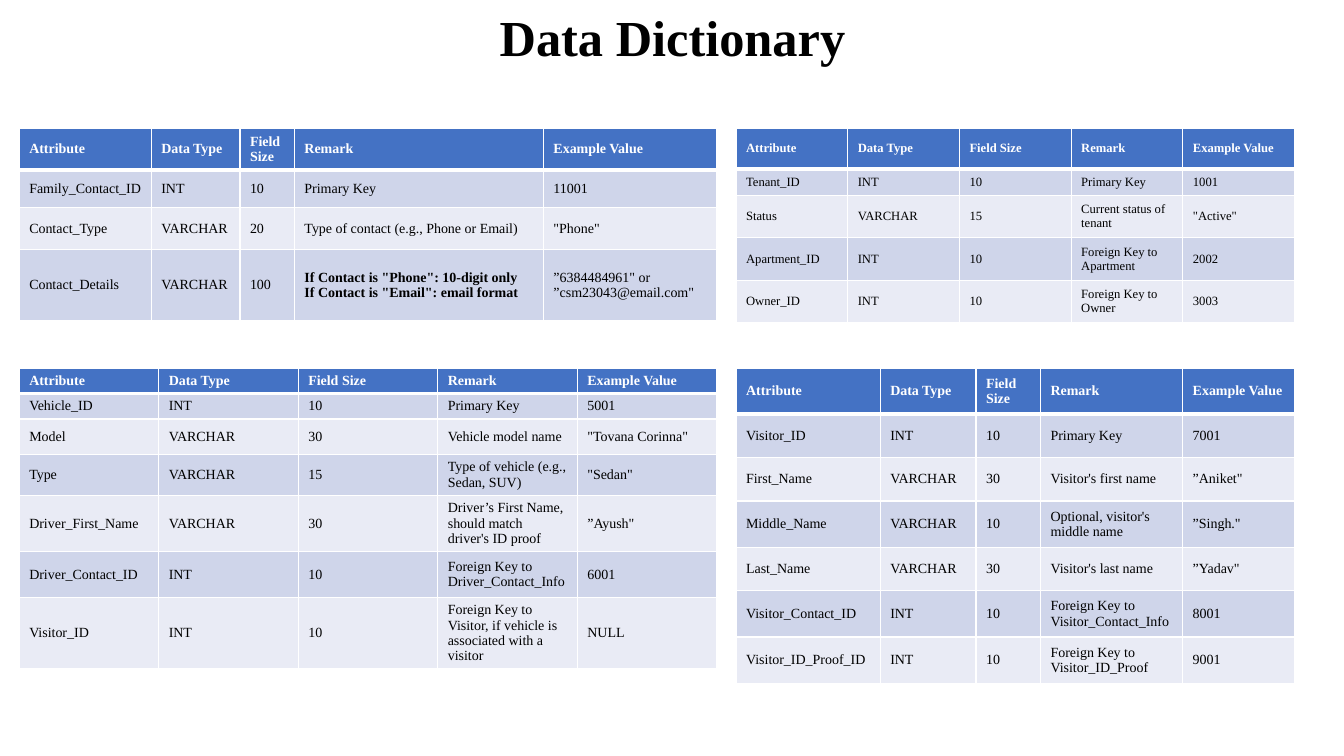
from copy import deepcopy
from dataclasses import dataclass

from pptx import Presentation
from pptx.dml.color import RGBColor as Color
from pptx.enum.text import MSO_ANCHOR as Anchor, PP_ALIGN as Align
from pptx.oxml import parse_xml
from pptx.oxml.ns import nsdecls, qn
from pptx.util import Inches, Pt


@dataclass(frozen=True)
class Theme:
    font: str = "Times New Roman"
    ink: str = "000000"
    paper: str = "FFFFFF"
    header: str = "4472C4"
    bands: tuple = ("CFD5EA", "E9EBF5")
    title_size: int = 36
    table_size: int = 10
    small_size: int = 9
    thin: int = 1
    thick: int = 3


class DictionarySlide:
    def __init__(self, deck, theme):
        self.theme = theme
        self.page = deck.slides.add_slide(deck.slide_layouts[5])

    def style_para(self, para, size, color, bold):
        style = {"name": self.theme.font, "size": Pt(size), "bold": bold}
        for span in para.runs:
            for key, value in style.items():
                setattr(span.font, key, value)
            span.font.color.rgb = Color.from_string(color)
        # Line breaks take the type size of the text around them
        for line_break in para._p.findall(qn("a:br")):
            line_break.append(deepcopy(para.runs[0]._r.rPr))

    def title(self, text, left, top, width, height):
        box = self.page.shapes.title
        place = {"left": left, "top": top, "width": width, "height": height}
        for key, value in place.items():
            setattr(box, key, Inches(value))
        box.text_frame.vertical_anchor = Anchor.MIDDLE
        para = box.text_frame.paragraphs[0]
        para.text = text
        para.alignment = Align.CENTER
        para.line_spacing = 0.9
        self.style_para(para, self.theme.title_size, self.theme.ink, True)

    def borders(self, cell, row):
        theme = self.theme
        widths = {"L": theme.thin, "R": theme.thin,
                  "T": theme.thick if row == 1 else theme.thin,
                  "B": theme.thick if row == 0 else theme.thin}
        properties = cell._tc.get_or_add_tcPr()
        for side, width in widths.items():
            properties.append(parse_xml(
                f'<a:ln{side} {nsdecls("a")} w="{Pt(width)}"><a:solidFill>'
                f'<a:srgbClr val="{theme.paper}"/></a:solidFill></a:ln{side}>'))

    def cell(self, cell, row, text, size, bold):
        theme = self.theme
        is_header = row == 0
        self.borders(cell, row)
        cell.fill.solid()
        fill = theme.header if is_header else theme.bands[(row - 1) % 2]
        cell.fill.fore_color.rgb = Color.from_string(fill)
        cell.vertical_anchor = Anchor.MIDDLE
        para = cell.text_frame.paragraphs[0]
        para.text = text
        color = theme.paper if is_header else theme.ink
        self.style_para(para, size, color, is_header or bold)

    def table(self, place, columns, heights, records, size, bold_cells=()):
        rows = [HEADINGS, *records]
        frame = self.page.shapes.add_table(
            len(rows), len(columns), *(Inches(value) for value in place))
        table = frame.table
        for column, width in zip(table.columns, columns):
            column.width = Inches(width)
        for row, height in zip(table.rows, heights):
            row.height = Inches(height)
        for r, record in enumerate(rows):
            for c, text in enumerate(record):
                self.cell(table.cell(r, c), r, text, size, (r, c) in bold_cells)
        frame.height = Inches(place[3])


HEADINGS = ("Attribute", "Data Type", "Field Size", "Remark", "Example Value")

FAMILY_CONTACT = [
    ("Family_Contact_ID", "INT", "10", "Primary Key", "11001"),
    ("Contact_Type", "VARCHAR", "20", "Type of contact (e.g., Phone or Email)", '"Phone"'),
    ("Contact_Details", "VARCHAR", "100",
     'If Contact is "Phone": 10-digit only\nIf Contact is "Email": email format',
     '”6384484961" or ”csm23043@email.com"'),
]

TENANT = [
    ("Tenant_ID", "INT", "10", "Primary Key", "1001"),
    ("Status", "VARCHAR", "15", "Current status of tenant", '"Active"'),
    ("Apartment_ID", "INT", "10", "Foreign Key to Apartment", "2002"),
    ("Owner_ID", "INT", "10", "Foreign Key to Owner", "3003"),
]

VEHICLE = [
    ("Vehicle_ID", "INT", "10", "Primary Key", "5001"),
    ("Model", "VARCHAR", "30", "Vehicle model name", '"Tovana Corinna"'),
    ("Type", "VARCHAR", "15", "Type of vehicle (e.g., Sedan, SUV)", '"Sedan"'),
    ("Driver_First_Name", "VARCHAR", "30",
     "Driver’s First Name, should match driver's ID proof", '”Ayush"'),
    ("Driver_Contact_ID", "INT", "10", "Foreign Key to Driver_Contact_Info", "6001"),
    ("Visitor_ID", "INT", "10",
     "Foreign Key to Visitor, if vehicle is associated with a visitor", "NULL"),
]

VISITOR = [
    ("Visitor_ID", "INT", "10", "Primary Key", "7001"),
    ("First_Name", "VARCHAR", "30", "Visitor's first name", '”Aniket"'),
    ("Middle_Name", "VARCHAR", "10", "Optional, visitor's middle name", '”Singh."'),
    ("Last_Name", "VARCHAR", "30", "Visitor's last name", '”Yadav"'),
    ("Visitor_Contact_ID", "INT", "10", "Foreign Key to Visitor_Contact_Info", "8001"),
    ("Visitor_ID_Proof_ID", "INT", "10", "Foreign Key to Visitor_ID_Proof", "9001"),
]


def main():
    deck = Presentation()
    deck.slide_width, deck.slide_height = Inches(13.33), Inches(7.5)
    theme = Theme()
    slide = DictionarySlide(deck, theme)

    slide.title("Data Dictionary", 0.92, 0, 11.5, 0.8)

    # Two columns of tables in two rows
    left, left_width = 0.19, 6.92
    right, right_width = 7.3, 5.54
    upper, upper_height = 1.27, 1.91
    lower, lower_height = 3.65, 3.13

    # Family contacts and tenants
    slide.table((left, upper, left_width, upper_height),
                (1.31, 0.88, 0.54, 2.47, 1.72), (0.42, 0.37, 0.42, 0.7),
                FAMILY_CONTACT, theme.table_size, bold_cells={(3, 3)})
    slide.table((right, upper, right_width, upper_height),
                [right_width / 5] * 5, (0.41, 0.26, 0.42, 0.42, 0.42),
                TENANT, theme.small_size)

    # Vehicles and visitors
    slide.table((left, lower, left_width, lower_height),
                [left_width / 5] * 5, (0.25, 0.25, 0.35, 0.32, 0.23, 0.45, 0.57),
                VEHICLE, theme.table_size)
    slide.table((right, lower, right_width, lower_height),
                (1.43, 0.95, 0.64, 1.41, 1.11),
                (0.46, 0.43, 0.43, 0.46, 0.43, 0.46, 0.46),
                VISITOR, theme.table_size)

    deck.save("out.pptx")


if __name__ == "__main__":
    main()
